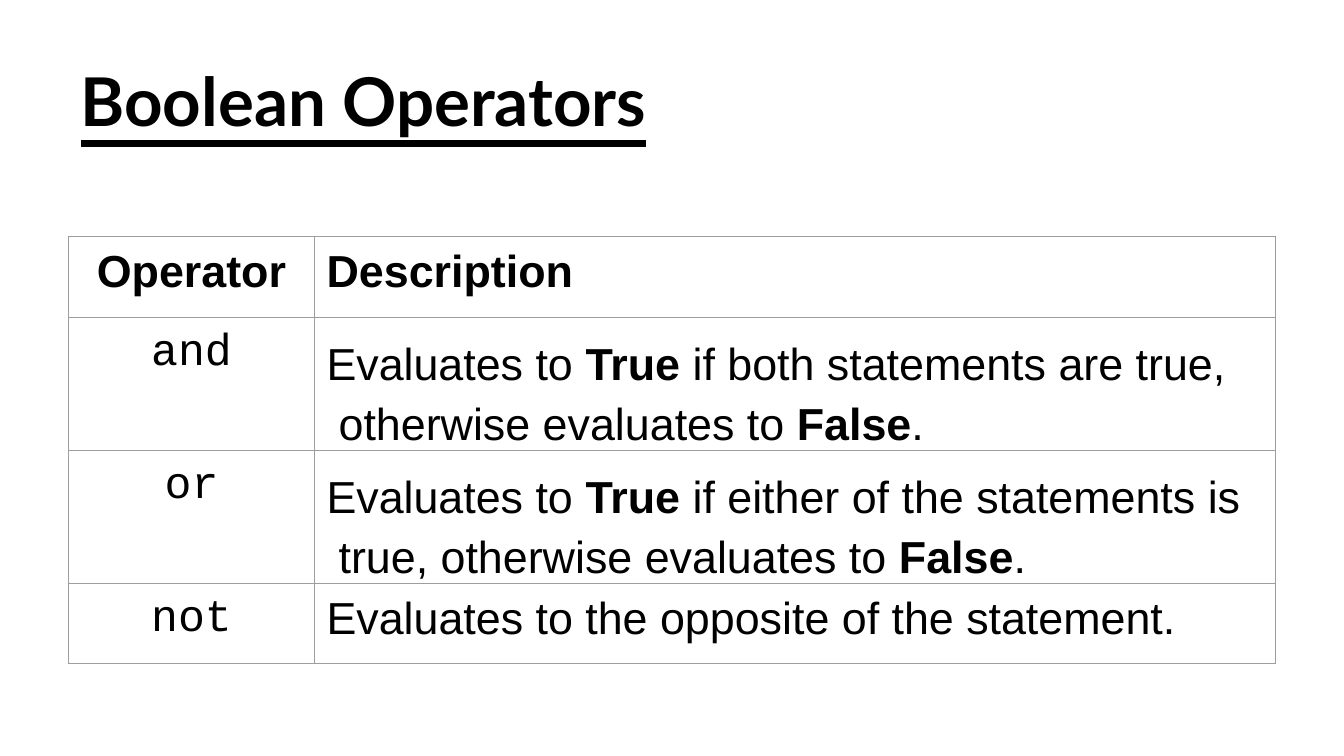
from lxml import etree
from pptx import Presentation
from pptx import util as u
from pptx.dml.color import RGBColor
from pptx.enum import text
from pptx.oxml import ns

TITLE = "Boolean Operators"
HEAD = ("Operator", "Description")
ROWS = [
    ("and", ["Evaluates to ", "True ", "if both statements are true, otherwise evaluates to ", "False", "."]),
    ("or", ["Evaluates to ", "True ", "if either of the statements is true, otherwise evaluates to ", "False", "."]),
    ("not", ["Evaluates to the opposite of the statement."]),
]
THEME = {
    "ink": RGBColor(0, 0, 0),
    "rule": "9E9E9E",
    "title": {"name": "Lato", "size": u.Pt(36), "bold": True,
              "underline": text.MSO_UNDERLINE.HEAVY_LINE},
    "head": {"name": "Arial", "size": u.Pt(24), "bold": True},
    "body": {"name": "Arial", "size": u.Pt(24), "bold": False},
    "code": {"name": "Courier New", "size": u.Pt(24), "bold": False},
}
WIDE = u.Inches(10)
HIGH = WIDE * 9 // 16
COLS = (1.83, 7.15)
SHORT, TALL = 0.6, 0.99
PAD = 0.09


def style(item, form):
    for key, val in form.items():
        setattr(item, key, val)


def write(para, parts, form):
    for part in parts:
        run = para.add_run()
        run.text = part
        style(run.font, form)
        run.font.color.rgb = THEME["ink"]
        if part.strip() in ("True", "False"):
            run.font.bold = True


def indent(para, left, first=0):
    props = para._p.get_or_add_pPr()
    props.set("marL", str(u.Inches(left)))
    props.set("indent", str(u.Inches(first)))


def border(cell):
    props = cell._tc.get_or_add_tcPr()
    for spot, side in enumerate(("lnL", "lnR", "lnT", "lnB")):
        line = etree.Element(ns.qn("a:" + side), w=str(u.Pt(0.75)))
        fill = etree.SubElement(line, ns.qn("a:solidFill"))
        etree.SubElement(fill, ns.qn("a:srgbClr"), val=THEME["rule"])
        props.insert(spot, line)


def fill_cell(cell, parts, form, code, tall):
    cell.fill.background()
    border(cell)
    top = 0.1 if tall and not code else 0.08
    style(cell, {"margin_left": 0, "margin_right": 0, "margin_bottom": 0,
                 "margin_top": u.Inches(top), "vertical_anchor": text.MSO_ANCHOR.TOP})
    para = cell.text_frame.paragraphs[0]
    write(para, parts, form)
    if code:
        para.alignment = text.PP_ALIGN.CENTER
    elif tall:
        indent(para, 2 * PAD, -PAD)
        para.line_spacing = 1.19
    else:
        indent(para, PAD)


def add_title(slide):
    title = slide.shapes.title
    style(title, {"left": u.Inches(0.47), "top": u.Inches(0.43),
                  "width": u.Inches(9.07), "height": u.Inches(0.63)})
    frame = title.text_frame
    style(frame, {"margin_left": 0, "margin_right": 0, "margin_bottom": 0,
                  "margin_top": u.Inches(0.01), "word_wrap": True,
                  "auto_size": text.MSO_AUTO_SIZE.NONE,
                  "vertical_anchor": text.MSO_ANCHOR.TOP})
    para = frame.paragraphs[0]
    para.alignment = text.PP_ALIGN.LEFT
    indent(para, 0.13)
    write(para, [TITLE], THEME["title"])


def add_grid(slide):
    lines = [(HEAD[0], [HEAD[1]])] + ROWS
    highs = [TALL if len(parts) > 1 else SHORT for _, parts in lines]
    table = slide.shapes.add_table(
        len(lines), len(COLS), u.Inches(0.51), u.Inches(1.76),
        u.Inches(sum(COLS)), u.Inches(sum(highs))).table
    style(table, {"first_row": False, "horz_banding": False})
    for col, width in zip(table.columns, COLS):
        col.width = u.Inches(width)
    for num, (word, parts) in enumerate(lines):
        table.rows[num].height = u.Inches(highs[num])
        forms = ("code", "body") if num else ("head", "head")
        tall = highs[num] == TALL
        for col, (bits, form) in enumerate(zip(([word], parts), forms)):
            fill_cell(table.cell(num, col), bits, THEME[form], col == 0, tall)


def main():
    deck = Presentation()
    style(deck, {"slide_width": WIDE, "slide_height": HIGH})
    slide = deck.slides.add_slide(deck.slide_layouts[5])
    add_title(slide)
    add_grid(slide)
    deck.save("out.pptx")


if __name__ == "__main__":
    main()
